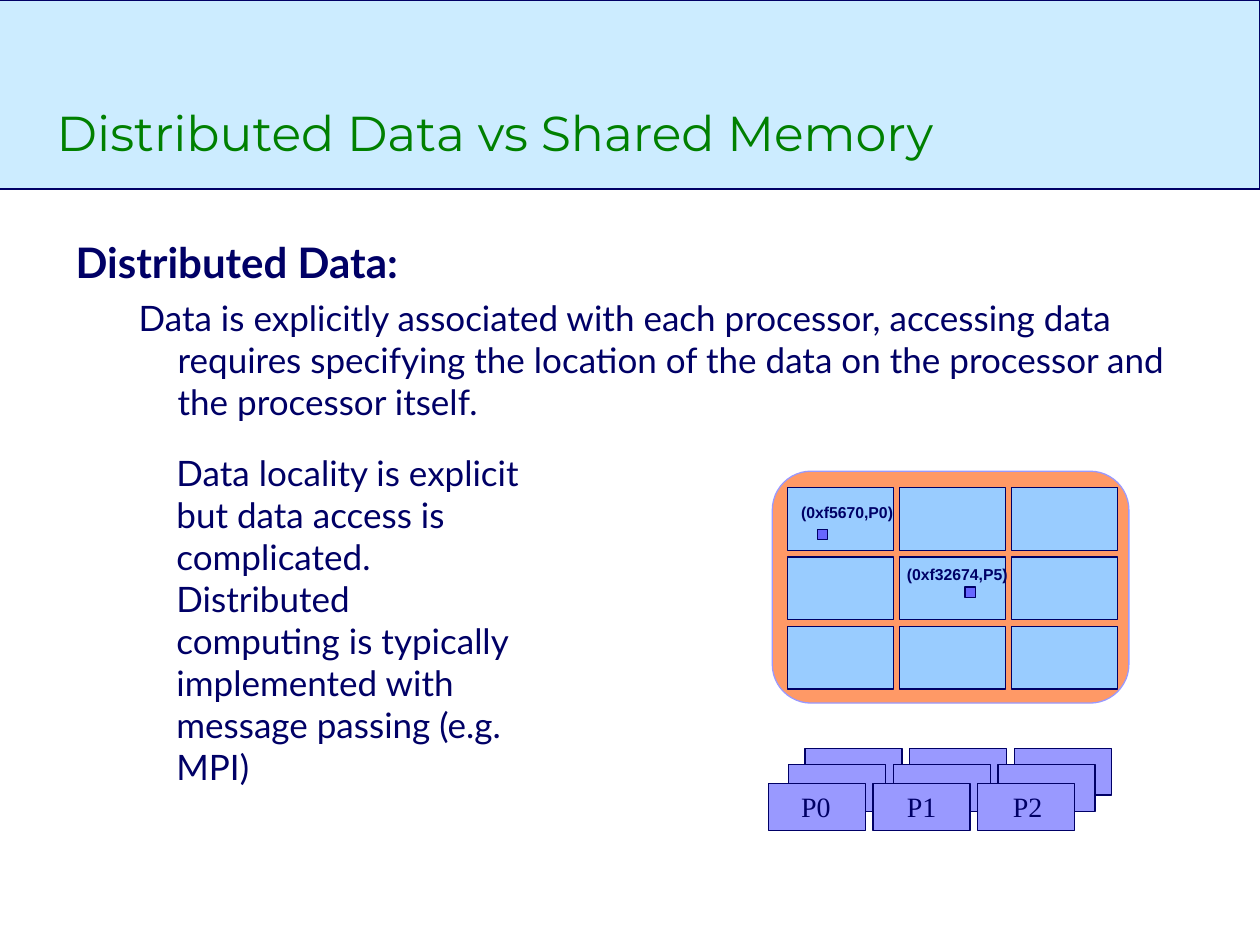
from dataclasses import dataclass

from lxml import etree
from pptx import Presentation
from pptx.dml.color import RGBColor
from pptx.enum.shapes import MSO_SHAPE
from pptx.enum.text import MSO_ANCHOR, MSO_AUTO_SIZE, PP_ALIGN
from pptx.oxml.ns import qn
from pptx.util import Inches, Pt

RECT, ROUND = MSO_SHAPE.RECTANGLE, MSO_SHAPE.ROUNDED_RECTANGLE
TOP, BOTTOM = MSO_ANCHOR.TOP, MSO_ANCHOR.BOTTOM
LEFT = PP_ALIGN.LEFT
FIXED, GROW = MSO_AUTO_SIZE.NONE, MSO_AUTO_SIZE.SHAPE_TO_FIT_TEXT


@dataclass(frozen=True)
class Theme:
    navy: str = "000066"
    green: str = "008000"
    band: str = "CCECFF"
    frame: str = "FF9966"
    cell: str = "99CCFF"
    chip: str = "9999FF"
    dot: str = "6666FF"
    sans: str = "Lato"
    head: str = "Montserrat"
    code: str = "Arial"
    serif: str = "Times New Roman"
    title: int = 28
    lead: int = 24
    text: int = 20
    name: int = 16
    small: int = 9


T = Theme()


def place(item, left, top, width, height):
    item.left, item.top = Inches(left), Inches(top)
    item.width, item.height = Inches(width), Inches(height)


def block(slide, box, fill, line=T.navy, weight=0.75, kind=RECT):
    shape = slide.shapes.add_shape(kind, *map(Inches, box))
    shape.shadow.inherit = False
    shape.fill.solid()
    shape.fill.fore_color.rgb = RGBColor.from_string(fill)
    shape.line.color.rgb = RGBColor.from_string(line)
    shape.line.width = Pt(weight)
    return shape


def write(par, text, font=T.sans, size=T.text, color=T.navy, bold=False,
          level=0, margin=0, indent=0, before=0):
    """Fill a paragraph; margin and hanging indent are in inches."""
    par.text = text
    par.level = level
    par.alignment = LEFT
    par.space_before = Pt(before)
    props = par._p.get_or_add_pPr()
    props.set("marL", str(Inches(margin)))
    props.set("indent", str(Inches(indent)))
    etree.SubElement(props, qn("a:buNone"))
    par.font.name, par.font.size, par.font.bold = font, Pt(size), bold
    par.font.color.rgb = RGBColor.from_string(color)


def label(slide, box, text, wrap=False, inset=(0.1, 0.05), **style):
    item = slide.shapes.add_textbox(*map(Inches, box))
    frame = item.text_frame
    frame.word_wrap, frame.auto_size = wrap, GROW
    frame.margin_left = frame.margin_right = Inches(inset[0])
    frame.margin_top = frame.margin_bottom = Inches(inset[1])
    write(frame.paragraphs[0], text, **style)


def header(slide):
    title = slide.shapes.title
    band = block(slide, (-0.03, 0, 10.03, 1.5), T.band, weight=1.5)
    title.element.addprevious(band.element)
    place(title, 0.35, 0.25, 8.31, 1.08)
    frame = title.text_frame
    frame.auto_size, frame.vertical_anchor = FIXED, BOTTOM
    write(frame.paragraphs[0], "Distributed Data vs Shared Memory",
          font=T.head, size=T.title, color=T.green)


def body(slide):
    item = slide.placeholders[1]
    place(item, 0.5, 1.83, 8.94, 4.79)
    frame = item.text_frame
    frame.auto_size, frame.vertical_anchor = FIXED, TOP
    write(frame.paragraphs[0], "Distributed Data:", size=T.lead, bold=True,
          margin=0.38, indent=-0.38)
    write(frame.add_paragraph(),
          "Data is explicitly associated with each processor, accessing data "
          "requires specifying the location of the data on the processor and "
          "the processor itself.",
          level=1, margin=0.81, indent=-0.31, before=5)


def memory(slide):
    """Grid of local memories, two of them holding an address."""
    frame = block(slide, (6.13, 3.74, 2.83, 1.84), T.frame, line=T.chip, kind=ROUND)
    frame.adjustments[0] = 0.167
    for row in range(3):
        for col in range(3):
            block(slide, (6.25 + 0.89 * col, 3.87 + 0.55 * row, 0.84, 0.5), T.cell)
    for text, box, dot in (
        ("(0xf5670,P0)", (6.26, 3.94, 0.93, 0.25), (6.49, 4.2)),
        ("(0xf32674,P5)", (7.1, 4.43, 1, 0.25), (7.66, 4.66)),
    ):
        block(slide, (*dot, 0.08, 0.08), T.dot)
        label(slide, box, text, font=T.code, size=T.small, bold=True)


def chips(slide):
    """Three rows of processors, the back row first."""
    for left, top in ((6.39, 5.94), (6.26, 6.07), (6.1, 6.22)):
        for col in range(3):
            block(slide, (left + 0.83 * col, top, 0.77, 0.37), T.chip)
    for col in range(3):
        label(slide, (6.26 + 0.84 * col, 6.22, 0.44, 0.37), f"P{col}",
              font=T.serif, size=T.name)


def main():
    deck = Presentation()
    deck.slide_width, deck.slide_height = Inches(10), Inches(7.5)
    slide = deck.slides.add_slide(deck.slide_layouts[1])
    header(slide)
    body(slide)
    memory(slide)
    chips(slide)
    label(slide, (1.2, 3.43, 3.12, 3.64),
          "Data locality is explicit but data access is complicated. "
          "Distributed computing is typically implemented with message "
          "passing (e.g. MPI)", wrap=True, inset=(0.2, 0.15))
    deck.save("out.pptx")


if __name__ == "__main__":
    main()
